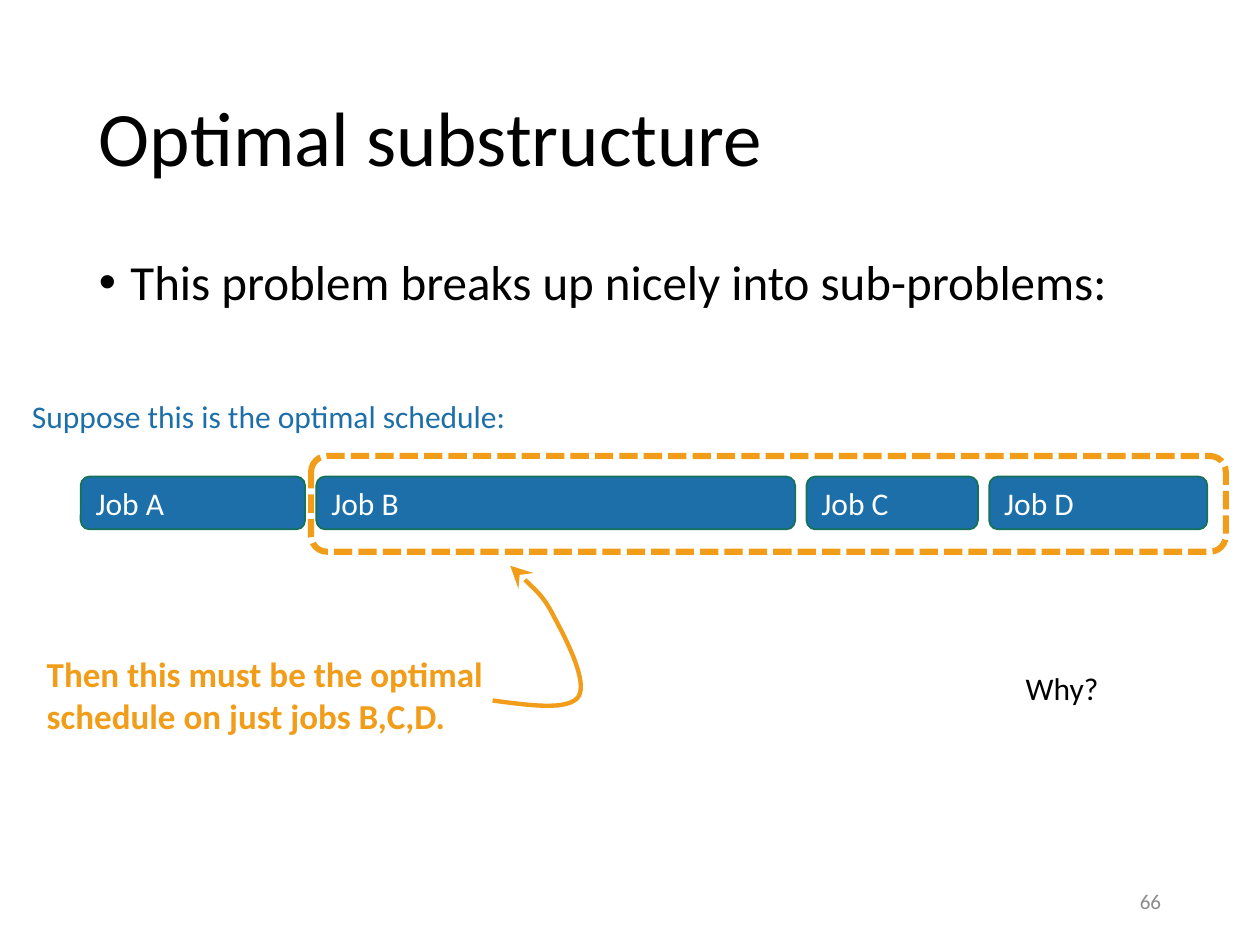
"""Build the slide on optimal substructure in job scheduling."""
import dataclasses
import itertools
import typing

import lxml.etree
import pptx
import pptx.dml.color
import pptx.enum.dml
import pptx.enum.shapes
import pptx.enum.text
import pptx.oxml.ns
import pptx.shapes.autoshape
import pptx.slide
import pptx.text.text
import pptx.util

Pt = pptx.util.Pt
Anchor = pptx.enum.text.MSO_ANCHOR
Align = pptx.enum.text.PP_ALIGN
qualified = pptx.oxml.ns.qn


@dataclasses.dataclass(frozen=True)
class Theme:
    font: str = "Calibri"
    black: str = "000000"
    white: str = "FFFFFF"
    blue: str = "1D6FA9"
    green: str = "157259"
    orange: str = "F19D19"
    grey: str = "8C8C8C"
    title_size: float = 44
    body_size: float = 28
    emphasis_size: float = 20
    label_size: float = 18
    number_size: float = 12


THEME = Theme()


class Box(typing.NamedTuple):
    left: float
    top: float
    width: float
    height: float


@dataclasses.dataclass(frozen=True)
class Label:
    text: str
    box: Box
    size: float = THEME.label_size
    color: str = THEME.black
    bold: bool = False
    anchor: Anchor = Anchor.TOP
    align: Align = Align.LEFT
    line_spacing: float = 1.0
    bullet: bool = False
    grow: bool = False


class Job(typing.NamedTuple):
    name: str
    width: float


LABELS = (
    Label("Optimal substructure", Box(49.5, 28.8, 621, 104.4), THEME.title_size,
          anchor=Anchor.MIDDLE, line_spacing=0.9),
    Label("This problem breaks up nicely into sub-problems:", Box(49.5, 144, 621, 342.6),
          THEME.body_size, line_spacing=0.9, bullet=True),
    Label("Suppose this is the optimal schedule:", Box(11.2, 223.5, 333.5, 29),
          color=THEME.blue, grow=True),
    Label("Then this must be the optimal schedule on just jobs B,C,D.",
          Box(19.6, 369.5, 278, 55.7), THEME.emphasis_size, THEME.orange, bold=True, grow=True),
    Label("Why?", Box(579, 379, 155, 29), grow=True),
    Label("66", Box(508.5, 500.5, 162, 28.8), THEME.number_size, THEME.grey,
          anchor=Anchor.MIDDLE, align=Align.RIGHT),
)
JOBS = (Job("Job A", 128.2), Job("Job B", 273.6), Job("Job C", 97.9), Job("Job D", 124.6))
JOBS_LEFT, JOBS_TOP, JOB_HEIGHT, JOB_GAP = 46.1, 272.3, 30.2, 6.5
SUBPROBLEM = Box(177.8, 260.6, 522.7, 54.7)
ARROW_START = (281.5, 400.3)
ARROW_CURVES = (
    ((303.1, 403.2), (324.7, 406.1), (330.5, 398.2)),
    ((336.2, 389.5), (323.3, 365), (316.8, 352.8)),
    ((310.3, 339.8), (291.6, 323.3), (291.6, 323.3)),
)


def rgb(color: str) -> pptx.dml.color.RGBColor:
    """Turn a hexadecimal colour into a colour object."""
    return pptx.dml.color.RGBColor.from_string(color)


def add_bullet(paragraph: pptx.text.text._Paragraph) -> None:
    """Give a paragraph a hanging round bullet."""
    properties = paragraph._p.get_or_add_pPr()
    properties.set("marL", str(Pt(18)))
    properties.set("indent", str(Pt(-18)))
    font = lxml.etree.SubElement(properties, qualified("a:buFont"))
    font.set("typeface", "Arial")
    lxml.etree.SubElement(properties, qualified("a:buChar")).set("char", "•")


def write_text(frame: pptx.text.text.TextFrame, label: Label) -> None:
    """Write a label into a text frame."""
    frame.word_wrap = True
    frame.vertical_anchor = label.anchor
    if label.grow:
        frame.auto_size = pptx.enum.text.MSO_AUTO_SIZE.SHAPE_TO_FIT_TEXT
    paragraph = frame.paragraphs[0]
    if label.bullet:
        add_bullet(paragraph)
    paragraph.alignment = label.align
    paragraph.line_spacing = label.line_spacing
    run = paragraph.add_run()
    run.text = label.text
    run.font.name = THEME.font
    run.font.size = Pt(label.size)
    run.font.bold = label.bold
    run.font.color.rgb = rgb(label.color)


def add_label(slide: pptx.slide.Slide, label: Label) -> None:
    """Add a text box holding one label."""
    text_box = slide.shapes.add_textbox(*map(Pt, label.box))
    write_text(text_box.text_frame, label)


def set_outline(shape: pptx.shapes.autoshape.Shape, color: str, width: float) -> None:
    """Remove the shadow and set the outline."""
    shape.shadow.inherit = False
    shape.line.color.rgb = rgb(color)
    shape.line.width = Pt(width)


def add_rounded(slide: pptx.slide.Slide, box: Box, color: str,
                width: float) -> pptx.shapes.autoshape.Shape:
    """Add an outlined rounded rectangle."""
    kind = pptx.enum.shapes.MSO_SHAPE.ROUNDED_RECTANGLE
    shape = slide.shapes.add_shape(kind, *map(Pt, box))
    set_outline(shape, color, width)
    return shape


def add_jobs(slide: pptx.slide.Slide) -> None:
    """Lay the jobs out in a row with equal gaps."""
    left = JOBS_LEFT
    for job in JOBS:
        box = Box(left, JOBS_TOP, job.width, JOB_HEIGHT)
        shape = add_rounded(slide, box, THEME.green, 1)
        shape.fill.solid()
        shape.fill.fore_color.rgb = rgb(THEME.blue)
        write_text(shape.text_frame,
                   Label(job.name, box, color=THEME.white, anchor=Anchor.MIDDLE))
        left += job.width + JOB_GAP


def add_subproblem(slide: pptx.slide.Slide) -> None:
    """Frame the remaining jobs with a dashed outline."""
    shape = add_rounded(slide, SUBPROBLEM, THEME.orange, 3.5)
    shape.fill.background()
    shape.line.dash_style = pptx.enum.dml.MSO_LINE.SQUARE_DOT
    shape.line._ln.find(qualified("a:prstDash")).set("val", "sysDash")


def add_curved_arrow(slide: pptx.slide.Slide) -> None:
    """Draw the curved arrow from the remark to the dashed frame."""
    builder = slide.shapes.build_freeform(*map(Pt, ARROW_START))
    points = itertools.chain.from_iterable(ARROW_CURVES)
    builder.add_line_segments([(Pt(x), Pt(y)) for x, y in points], close=False)
    shape = builder.convert_to_shape()
    shape.fill.background()
    set_outline(shape, THEME.orange, 2.5)
    path = shape._element.find(".//" + qualified("a:path"))
    segments = path.findall(qualified("a:lnTo"))
    for first in range(0, len(segments), 3):
        curve = lxml.etree.SubElement(path, qualified("a:cubicBezTo"))
        for segment in segments[first:first + 3]:
            curve.append(segment[0])
            path.remove(segment)
    arrowhead = lxml.etree.SubElement(shape.line._ln, qualified("a:tailEnd"))
    for name, value in (("type", "stealth"), ("w", "lg"), ("len", "lg")):
        arrowhead.set(name, value)


def main() -> None:
    """Build and save the presentation."""
    presentation = pptx.Presentation()
    presentation.slide_width, presentation.slide_height = Pt(720), Pt(540)
    slide = presentation.slides.add_slide(presentation.slide_layouts[6])
    add_jobs(slide)
    add_subproblem(slide)
    for label in LABELS:
        add_label(slide, label)
    add_curved_arrow(slide)
    presentation.save("out.pptx")


if __name__ == "__main__":
    main()
